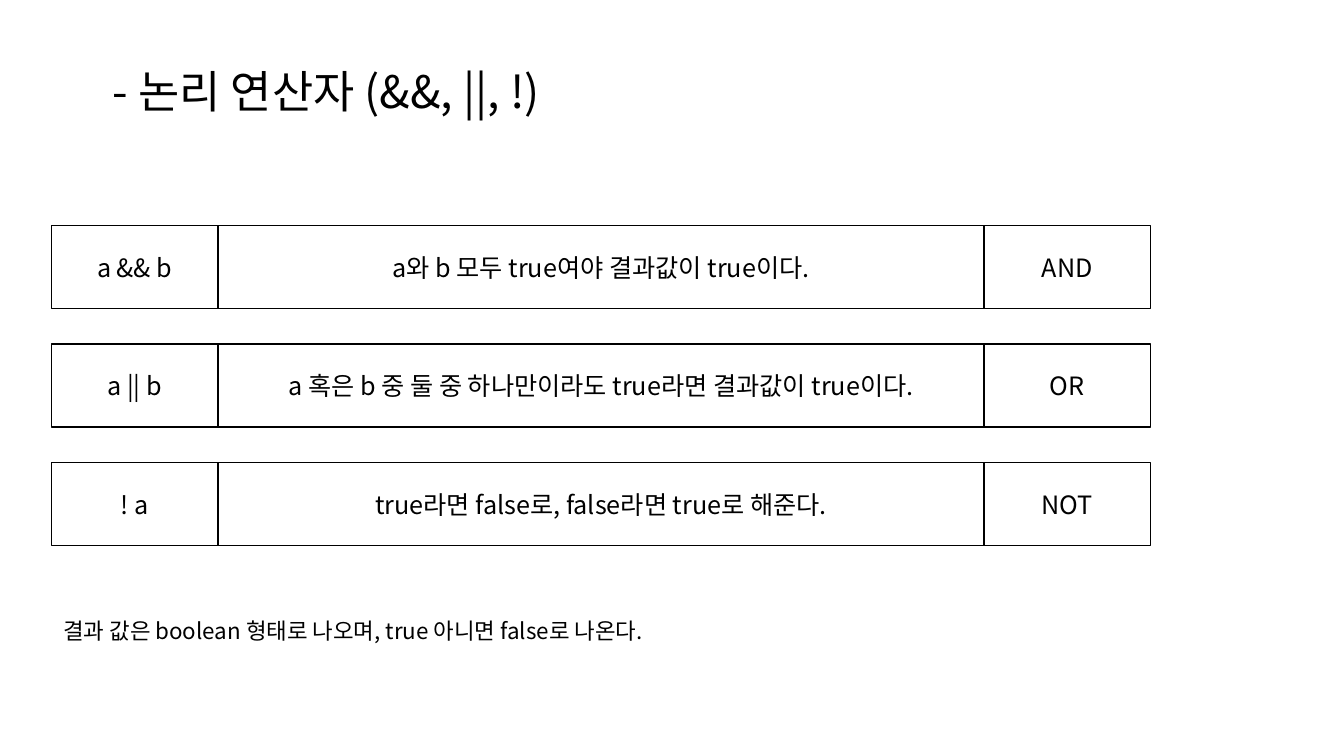
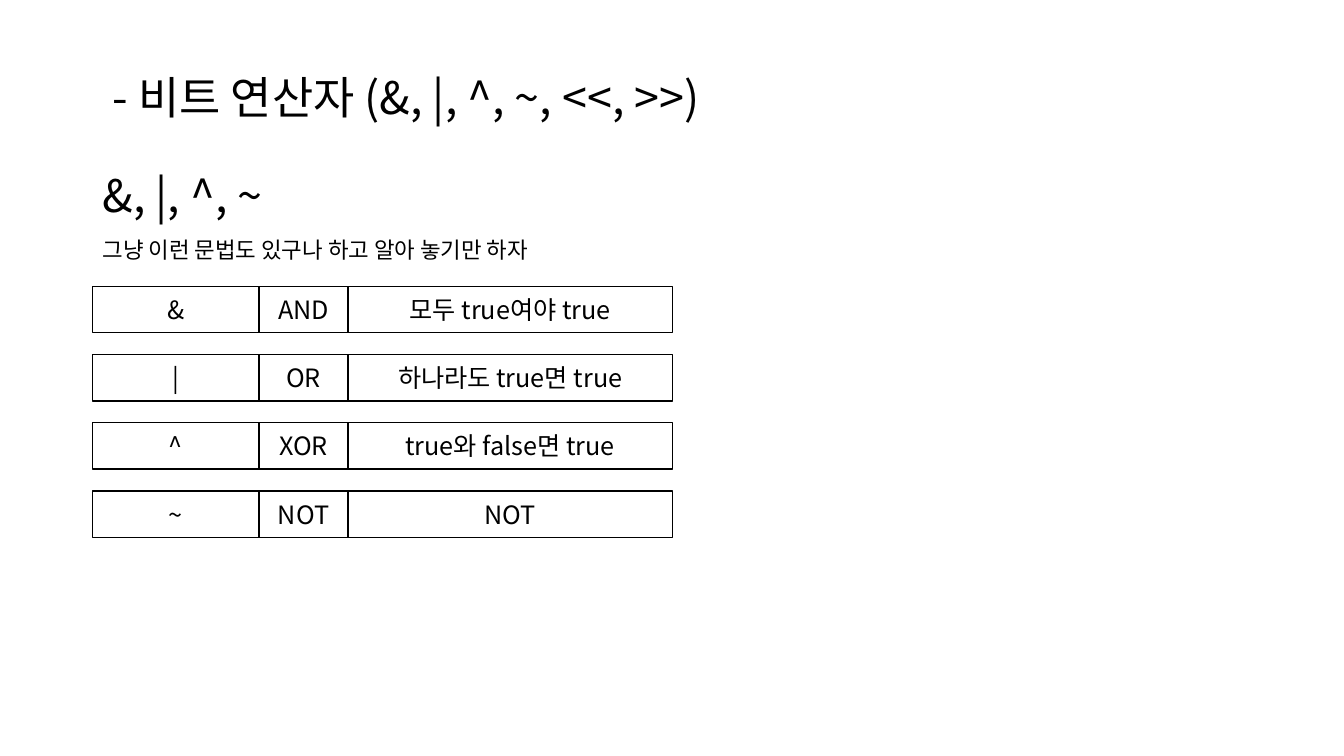
from itertools import accumulate

from lxml.etree import SubElement
from pptx import Presentation
from pptx.dml.color import RGBColor
from pptx.enum.shapes import MSO_SHAPE as Shape
from pptx.enum.text import MSO_ANCHOR as Anchor, PP_ALIGN as Align
from pptx.oxml.ns import qn
from pptx.util import Inches, Pt

SLIDE_WIDTH, SLIDE_HEIGHT = Inches(13.33), Inches(7.5)
FONT = "Noto Sans CJK KR"
INK, PAPER = "000000", "FFFFFF"
TITLE_SIZE, CELL_SIZE, NOTE_SIZE = 32, 18, 16


def color(hex_code):
    return RGBColor.from_string(hex_code)


def region(left, top, width, height):
    """Turn percentages of the slide into lengths."""
    return (int(SLIDE_WIDTH * left / 100), int(SLIDE_HEIGHT * top / 100),
            int(SLIDE_WIDTH * width / 100), int(SLIDE_HEIGHT * height / 100))


def write(frame, text, size, anchor):
    frame.word_wrap = True
    frame.vertical_anchor = anchor
    paragraph = frame.paragraphs[0]
    paragraph.text = text
    for run in paragraph.runs:
        run.font.size = Pt(size)
        run.font.name = FONT
        run.font.color.rgb = color(INK)
        east_asian = SubElement(run.font._element, qn("a:ea"))
        east_asian.set("typeface", FONT)
    return paragraph


def add_heading(slide, box, text):
    heading = slide.shapes.add_textbox(*box)
    write(heading.text_frame, text, TITLE_SIZE, Anchor.BOTTOM).line_spacing = 0.9


def add_note(slide, box, text):
    note = slide.shapes.add_textbox(*box)
    paragraph = write(note.text_frame, text, NOTE_SIZE, Anchor.TOP)
    paragraph.line_spacing = 0.9
    paragraph.space_before = Pt(10)


def add_cell(slide, box, text):
    cell = slide.shapes.add_shape(Shape.RECTANGLE, *box)
    cell.shadow.inherit = False
    cell.fill.solid()
    cell.fill.fore_color.rgb = color(PAPER)
    cell.line.color.rgb = color(INK)
    cell.line.width = Pt(1)
    write(cell.text_frame, text, CELL_SIZE, Anchor.MIDDLE).alignment = Align.CENTER


def add_operator_rows(slide, box, rows, weights, gap):
    """Stack rows of joined cells; gap is a share of the row height."""
    left, top, width, height = box
    row_height = height / (len(rows) + gap * (len(rows) - 1))
    edges = [left + width * share / sum(weights)
             for share in accumulate(weights, initial=0)]
    for index, row in enumerate(rows):
        row_top = top + index * row_height * (1 + gap)
        for start, end, text in zip(edges, edges[1:], row):
            add_cell(slide, (int(start), int(row_top), int(end - start),
                             int(row_height)), text)


def build_logical_slide(slide):
    add_heading(slide, region(6.9, 7.2, 80.87, 9.07), " - 논리 연산자 (&&, ||, !)")
    add_operator_rows(slide, region(3.83, 29.87, 81.77, 42.27), [
        ("a && b", "a와 b 모두 true여야 결과값이 true이다.", "AND"),
        ("a || b", "a 혹은 b 중 둘 중 하나만이라도 true라면 결과값이 true이다.", "OR"),
        ("! a", "true라면 false로, false라면 true로 해준다.", "NOT"),
    ], weights=(1.65, 7.6, 1.65), gap=0.43)
    add_note(slide, region(3.98, 81.33, 51.84, 5.87),
             "결과 값은 boolean 형태로 나오며, true 아니면 false로 나온다.")


def build_bitwise_slide(slide):
    add_heading(slide, region(6.9, 8, 80.87, 9.07),
                " - 비트 연산자 (&, |, ^, ~, <<, >>)")
    add_heading(slide, region(6.9, 20.93, 80.87, 9.07), "&, |, ^, ~")
    add_note(slide, region(6.9, 30.93, 38.33, 6.13),
             "그냥 이런 문법도 있구나 하고 알아 놓기만 하자")
    add_operator_rows(slide, region(6.9, 37.87, 43.14, 33.2), [
        ("&", "AND", "모두 true여야 true"),
        ("|", "OR", "하나라도 true면 true"),
        ("^", "XOR", "true와 false면 true"),
        ("~", "NOT", "NOT"),
    ], weights=(1.65, 0.88, 3.22), gap=0.47)


def main():
    deck = Presentation()
    deck.slide_width, deck.slide_height = SLIDE_WIDTH, SLIDE_HEIGHT
    blank = deck.slide_layouts[6]
    for build in (build_logical_slide, build_bitwise_slide):
        build(deck.slides.add_slide(blank))
    deck.save("out.pptx")


if __name__ == "__main__":
    main()
